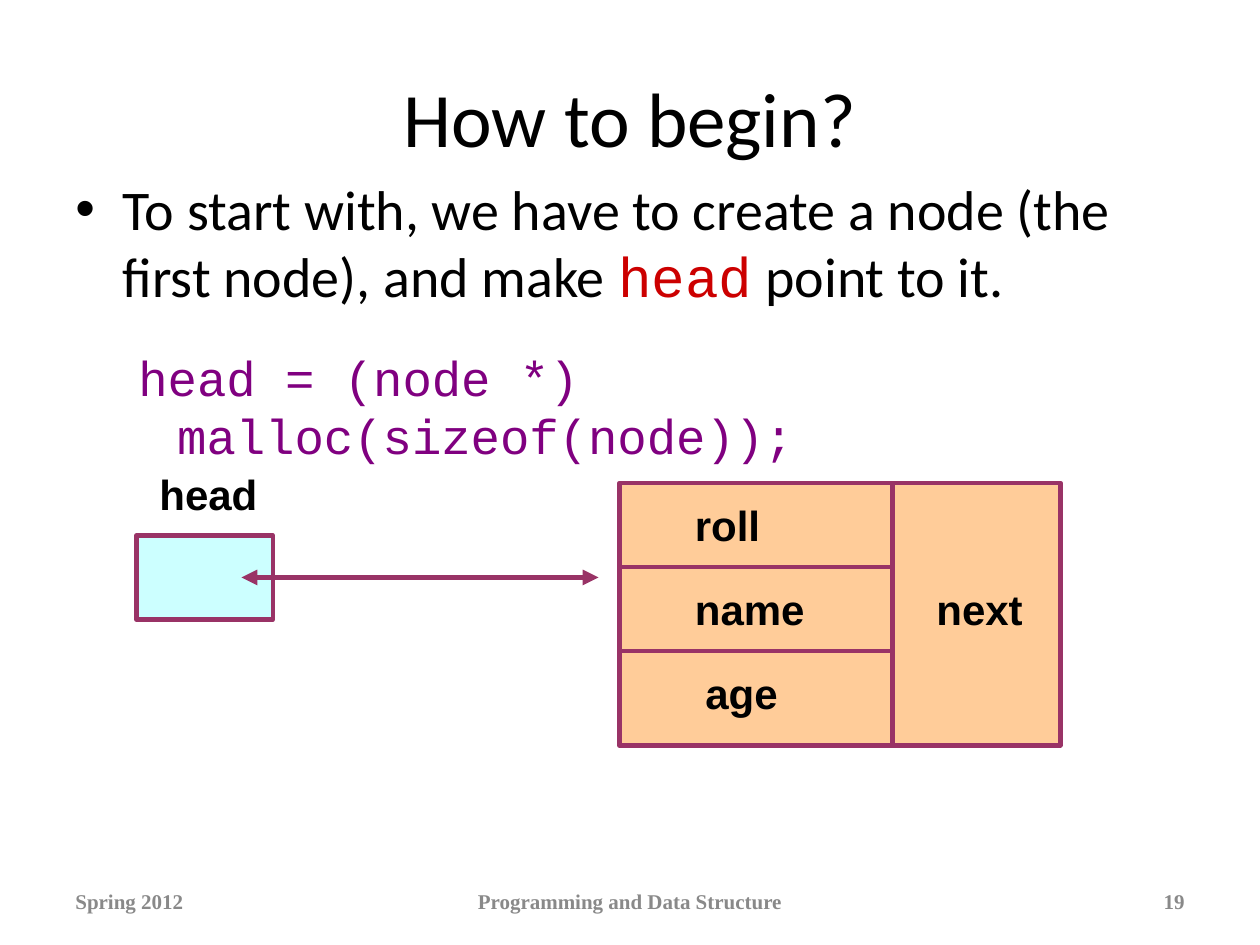
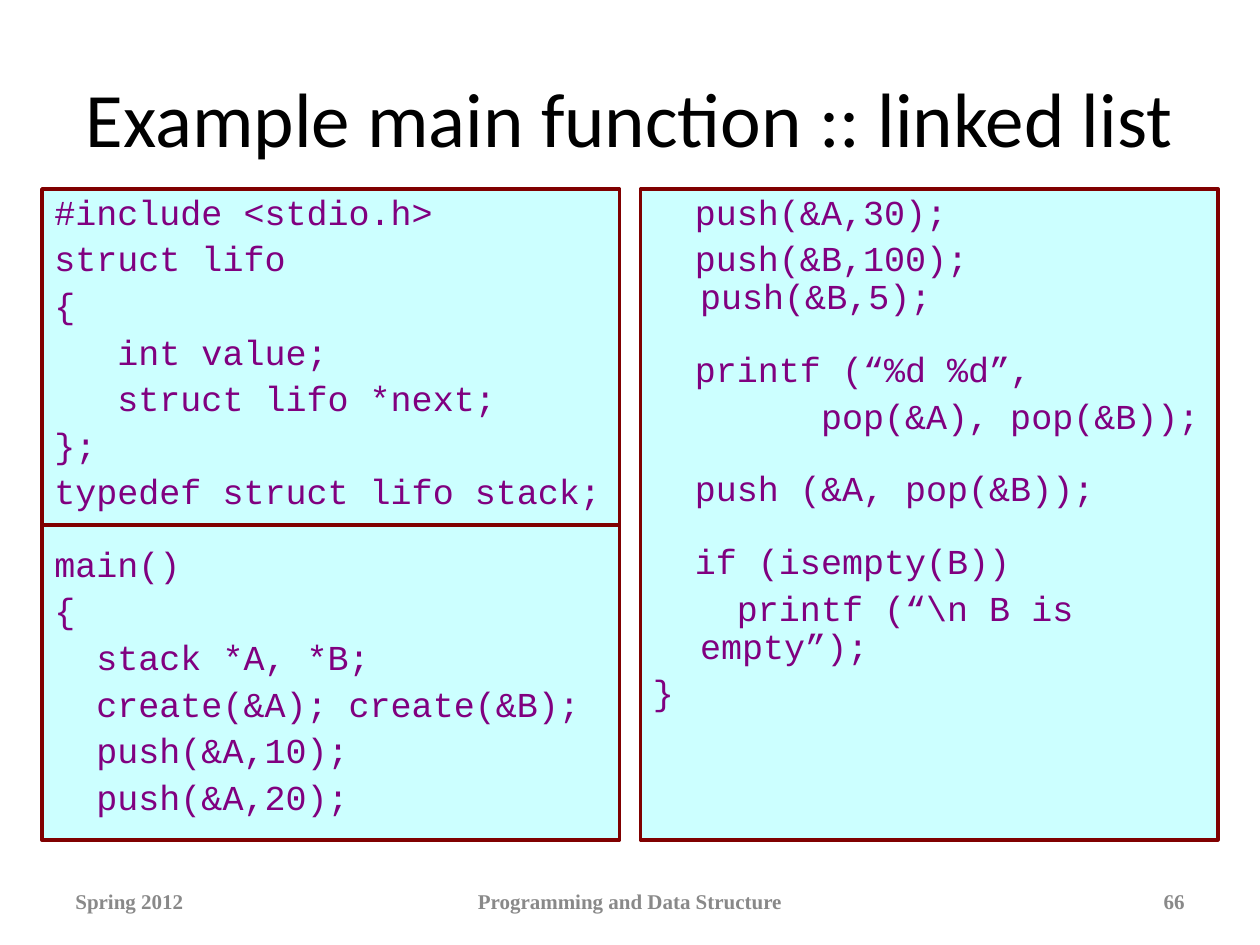
from dataclasses import dataclass

from lxml import etree
from pptx import Presentation
from pptx.dml.color import RGBColor
from pptx.enum.shapes import MSO_CONNECTOR, MSO_SHAPE
from pptx.enum.text import MSO_ANCHOR, PP_ALIGN
from pptx.oxml.ns import qn
from pptx.util import Pt

PX = 7620  # 120 px to the inch
BLANK_LAYOUT = 6
RECTANGLE = MSO_SHAPE.RECTANGLE
STRAIGHT = MSO_CONNECTOR.STRAIGHT
TOP, MIDDLE = MSO_ANCHOR.TOP, MSO_ANCHOR.MIDDLE
LEFT, CENTER, RIGHT = PP_ALIGN.LEFT, PP_ALIGN.CENTER, PP_ALIGN.RIGHT


def text_format(name, size, color, bold=False):
    return {"name": name, "size": Pt(size), "bold": bold, "color": color}


@dataclass(frozen=True)
class Theme:
    black: str = "000000"
    purple: str = "800080"
    red: str = "CC0000"
    grey: str = "898989"
    plum: str = "993366"
    maroon: str = "800000"
    aqua: str = "CCFFFF"
    peach: str = "FFCC99"
    outline: float = 2.5
    panel_outline: float = 2
    arrow: float = 3

    @property
    def formats(self):
        return {
            "title": text_format("Calibri", 44, self.black),
            "body": text_format("Calibri", 32, self.black),
            "keyword": text_format("Courier New", 32, self.red),
            "statement": text_format("Courier New", 28, self.purple),
            "code": text_format("Courier New", 20, self.purple),
            "label": text_format("Arial", 24, self.black, True),
            "footer": text_format("Times New Roman", 12, self.grey, True),
        }


THEME = Theme()


class SlideBuilder:
    def __init__(self, deck, theme):
        self.deck = deck
        self.theme = theme
        self.slide = None

    def start(self, title, number):
        """Add a slide with its title and footer."""
        layout = self.deck.slide_layouts[BLANK_LAYOUT]
        self.slide = self.deck.slides.add_slide(layout)
        self.text((60, 36, 1080, 150), title, "title", CENTER, MIDDLE)
        footers = (
            (60, 280, "Spring 2012", LEFT),
            (410, 380, "Programming and Data Structure", CENTER),
            (860, 280, str(number), RIGHT),
        )
        for left, width, words, align in footers:
            self.text((left, 834, width, 48), words, "footer", align, MIDDLE)

    def text_box(self, place, anchor=TOP):
        box = self.slide.shapes.add_textbox(*(PX * length for length in place))
        box.text_frame.word_wrap = True
        box.text_frame.vertical_anchor = anchor
        return box.text_frame

    def text(self, place, words, style, align=LEFT, anchor=TOP):
        para = self.text_box(place, anchor).paragraphs[0]
        para.alignment = align
        self.span(para, words, style)

    def span(self, para, words, style):
        span = para.add_run()
        span.text = words
        for key, value in self.theme.formats[style].items():
            if key == "color":
                span.font.color.rgb = RGBColor.from_string(value)
            else:
                setattr(span.font, key, value)

    def indent(self, para, margin, hanging):
        properties = para._p.get_or_add_pPr()
        properties.set("marL", str(margin * PX))
        properties.set("indent", str(-hanging * PX))

    def bullet(self, para):
        properties = para._p.get_or_add_pPr()
        color = etree.SubElement(properties, qn("a:buClr"))
        etree.SubElement(color, qn("a:srgbClr"), val=self.theme.black)
        etree.SubElement(properties, qn("a:buFont"), typeface="Arial")
        etree.SubElement(properties, qn("a:buChar"), char="•")

    def rectangle(self, place, fill, color, weight):
        lengths = (PX * length for length in place)
        box = self.slide.shapes.add_shape(RECTANGLE, *lengths)
        box.shadow.inherit = False
        box.fill.solid()
        box.fill.fore_color.rgb = RGBColor.from_string(fill)
        box.line.color.rgb = RGBColor.from_string(color)
        box.line.width = Pt(weight)
        return box

    def line(self, ends, color, weight, arrows=False):
        lengths = (PX * length for length in ends)
        line = self.slide.shapes.add_connector(STRAIGHT, *lengths)
        line.line.color.rgb = RGBColor.from_string(color)
        line.line.width = Pt(weight)
        properties = line._element.spPr
        if arrows:
            for end in ("a:headEnd", "a:tailEnd"):
                etree.SubElement(properties.find(qn("a:ln")), qn(end), type="triangle")
        etree.SubElement(properties, qn("a:effectLst"))

    def code_panel(self, place, lines):
        """Fill a panel with code; an empty line widens the gap before the next."""
        theme = self.theme
        box = self.rectangle(place, theme.aqua, theme.maroon, theme.panel_outline)
        frame = box.text_frame
        frame.word_wrap = True
        frame.vertical_anchor = TOP
        para, gap = frame.paragraphs[0], 0
        for words in lines:
            if not words:
                gap = 20
                continue
            if para.runs:
                para = frame.add_paragraph()
            settings = {"alignment": LEFT, "line_spacing": 0.9, "space_before": Pt(gap)}
            for key, value in settings.items():
                setattr(para, key, value)
            self.indent(para, 45, 45)
            self.span(para, words, "code")
            gap = 5


def build_first_node(builder):
    theme = builder.theme
    builder.start("How to begin?", 19)

    frame = builder.text_box((60, 160, 1080, 620))
    para = frame.paragraphs[0]
    builder.indent(para, 45, 45)
    builder.bullet(para)
    for words, style in (
        ("To start with, we have to create a node (the first node), and make ", "body"),
        ("head", "keyword"),
        (" point to it.", "body"),
    ):
        builder.span(para, words, style)
    para = frame.add_paragraph()
    para.space_before = Pt(22)
    builder.indent(para, 97, 37)
    builder.span(para, "head = (node *) malloc(sizeof(node));", "statement")

    left, top, width, height = node = (590, 460, 420, 250)
    divider, row = 850, 80
    builder.rectangle(node, theme.peach, theme.plum, theme.outline)
    borders = [(divider, top, divider, top + height)]
    borders += [(left, top + row * i, divider, top + row * i) for i in (1, 2)]
    for ends in borders:
        builder.line(ends, theme.plum, theme.outline)

    builder.rectangle((130, 510, 130, 80), theme.aqua, theme.plum, theme.outline)
    builder.line((230, 550, 570, 550), theme.plum, theme.arrow, arrows=True)

    labels = (
        (140, 440, "head"),
        (650, 470, "roll"),
        (650, 470 + row, "name"),
        (660, 470 + 2 * row, "age"),
        (880, 470 + row, "next"),
    )
    for label_left, label_top, words in labels:
        builder.text((label_left, label_top, 200, 60), words, "label")


def build_stack_program(builder):
    theme = builder.theme
    builder.start("Example main function :: linked list", 66)
    declarations = (
        "#include <stdio.h>",
        "struct lifo",
        "{",
        "   int value;",
        "   struct lifo *next;",
        "};",
        "typedef struct lifo stack;",
        "",
        "main()",
        "{",
        "  stack *A, *B;",
        "  create(&A); create(&B);",
        "  push(&A,10);",
        "  push(&A,20);",
    )
    operations = (
        "  push(&A,30);",
        "  push(&B,100);  push(&B,5);",
        "",
        "  printf (“%d %d”,",
        "        pop(&A), pop(&B));",
        "",
        "  push (&A, pop(&B));",
        "",
        "  if (isempty(B))",
        "    printf (“\\n B is empty”);",
        "}",
    )
    for left, lines in ((40, declarations), (610, operations)):
        builder.code_panel((left, 180, 550, 620), lines)
    builder.line((40, 500, 590, 500), theme.maroon, theme.outline)


def main():
    deck = Presentation()
    deck.slide_width, deck.slide_height = 1200 * PX, 900 * PX
    builder = SlideBuilder(deck, THEME)
    build_first_node(builder)
    build_stack_program(builder)
    deck.save("out.pptx")


if __name__ == "__main__":
    main()
